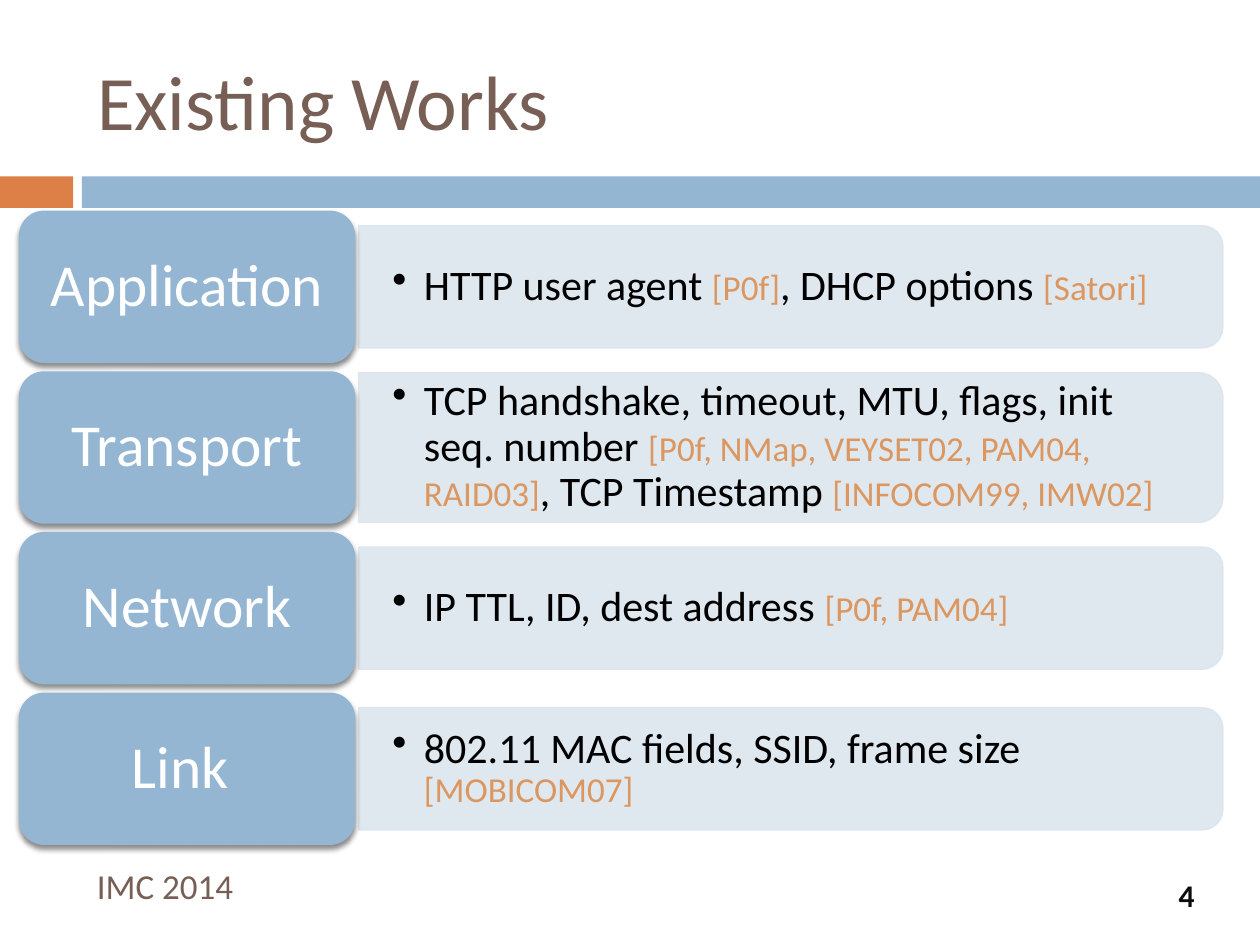
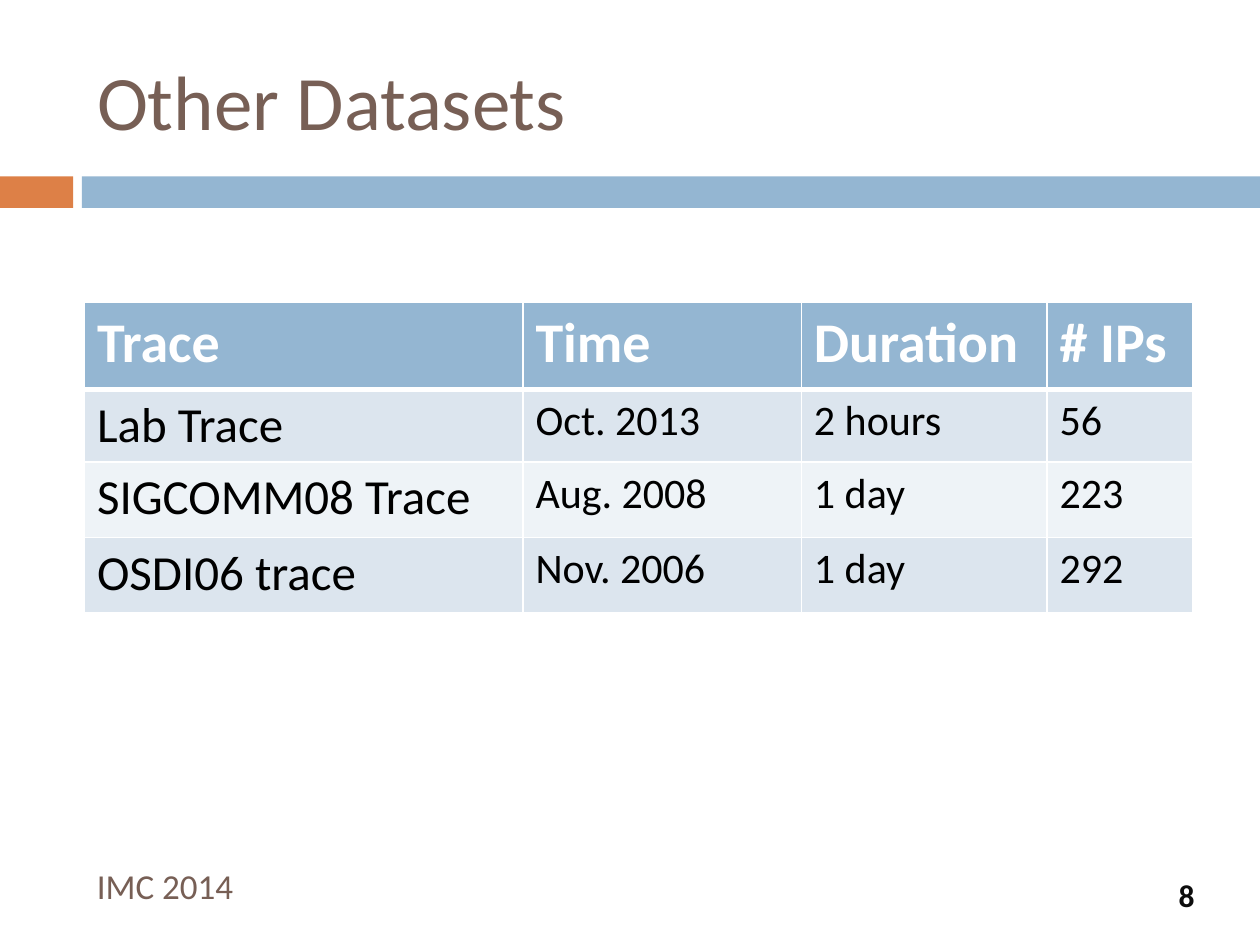
from lxml import etree
from pptx import Presentation
from pptx.dml.color import RGBColor
from pptx.enum.shapes import MSO_SHAPE
from pptx.enum.text import MSO_ANCHOR, MSO_AUTO_SIZE, PP_ALIGN
from pptx.oxml.ns import qn
from pptx.util import Inches, Pt

RECTANGLE = MSO_SHAPE.RECTANGLE
TAB_SHAPE = MSO_SHAPE.ROUNDED_RECTANGLE
PANEL_SHAPE = MSO_SHAPE.ROUND_2_SAME_RECTANGLE
MIDDLE = MSO_ANCHOR.MIDDLE
LEFT, CENTER, RIGHT = PP_ALIGN.LEFT, PP_ALIGN.CENTER, PP_ALIGN.RIGHT
NO_AUTOFIT = MSO_AUTO_SIZE.NONE

FONT = "Calibri"
BROWN = RGBColor(0x77, 0x5F, 0x55)
ORANGE = RGBColor(0xDD, 0x80, 0x47)
CITATION = RGBColor(0xDB, 0x97, 0x5F)
BLUE = RGBColor(0x94, 0xB6, 0xD2)
LIGHT_BLUE = RGBColor(0xDC, 0xE5, 0xEE)
PALE_BLUE = RGBColor(0xEE, 0xF3, 0xF7)
WHITE = RGBColor(0xFF, 0xFF, 0xFF)
BLACK = RGBColor(0, 0, 0)
NUMBER_COLOR = RGBColor(0x0D, 0x0D, 0x0D)

presentation = Presentation()
presentation.slide_width = Inches(10)
presentation.slide_height = Inches(7.5)


def area(left, top, width, height):
    """Turn percentages of the slide's width and height into lengths."""
    across, down = presentation.slide_width / 100, presentation.slide_height / 100
    return int(left * across), int(top * down), int(width * across), int(height * down)


def format_runs(paragraph, size, color, bold=False):
    for run in paragraph.runs:
        run.font.name = FONT
        run.font.size = Pt(size)
        run.font.bold = bold
        run.font.color.rgb = color


# Shared frame: title, bands, footer and slide number
slides = []
for title_text, number in (("Existing Works", "4"), ("Other Datasets", "8")):
    slide = presentation.slides.add_slide(presentation.slide_layouts[5])
    slides.append(slide)

    for left, width, color in ((0, 5.8, ORANGE), (6.5, 93.5, BLUE)):
        band = slide.shapes.add_shape(RECTANGLE, *area(left, 18.67, width, 3.33))
        band.shadow.inherit = False
        band.fill.solid()
        band.fill.fore_color.rgb = color
        band.line.fill.background()

    title = slide.shapes.title
    title.left, title.top, title.width, title.height = area(6.7, 3.33, 89.2, 14.4)
    footer = slide.shapes.add_textbox(*area(6.7, 91.07, 77.5, 5.33))
    number_box = slide.shapes.add_shape(RECTANGLE, *area(90, 93.07, 5.8, 3.33))
    number_box.shadow.inherit = False
    number_box.fill.solid()
    number_box.fill.fore_color.rgb = WHITE
    number_box.line.color.rgb = WHITE

    for shape, text, size, color, alignment in (
        (title, title_text, 44, BROWN, LEFT),
        (footer, "IMC 2014", 20, BROWN, LEFT),
        (number_box, number, 18, NUMBER_COLOR, RIGHT),
    ):
        text_frame = shape.text_frame
        text_frame.text = text
        text_frame.word_wrap = True
        text_frame.auto_size = NO_AUTOFIT
        text_frame.vertical_anchor = MIDDLE
        text_frame.paragraphs[0].alignment = alignment
        format_runs(text_frame.paragraphs[0], size, color, shape is number_box)

works_slide, datasets_slide = slides

# Existing works: one row per layer, every second fragment is a citation
LAYERS = (
    ("Application", 12.93,
     ("HTTP user agent ", "[P0f]", ", DHCP options ", "[Satori]")),
    ("Transport", 15.87,
     ("TCP handshake, timeout, MTU, flags, init seq. number ",
      "[P0f, NMap, VEYSET02, PAM04, RAID03]",
      ", TCP Timestamp ", "[INFOCOM99, IMW02]", " ")),
    ("Network", 12.93, ("IP TTL, ID, dest address ", "[P0f, PAM04]")),
    ("Link ", 12.93, ("802.11 MAC fields, SSID, frame size ", "[MOBICOM07]")),
)
FIRST_MIDDLE, LAYER_PITCH, TAB_HEIGHT = 30.35, 17, 16.13

for index, (layer, panel_height, fragments) in enumerate(LAYERS):
    middle = FIRST_MIDDLE + index * LAYER_PITCH

    # A quarter turn puts the two rounded corners on the right
    left, top, width, height = area(28.45, middle - panel_height / 2, 68.6, panel_height)
    shift = (width - height) // 2
    panel = works_slide.shapes.add_shape(PANEL_SHAPE, left + shift, top - shift, height, width)
    panel.rotation = 90
    panel.shadow.inherit = False
    panel.fill.solid()
    panel.fill.fore_color.rgb = LIGHT_BLUE
    panel.line.color.rgb = LIGHT_BLUE
    panel.line.width = Pt(0.79)
    for color_element in list(panel.element.spPr.iter(qn("a:srgbClr"))):
        etree.SubElement(color_element, qn("a:alpha"), val="90000")

    details = works_slide.shapes.add_textbox(left, top, int(width * 0.99), height)
    text_frame = details.text_frame
    text_frame.word_wrap = True
    text_frame.vertical_anchor = MIDDLE
    text_frame.margin_left = text_frame.margin_right = Inches(0.27)
    text_frame.margin_top = text_frame.margin_bottom = Inches(0.14)
    paragraph = text_frame.paragraphs[0]
    paragraph.line_spacing = 0.9
    properties = paragraph._p.get_or_add_pPr()
    properties.set("marL", str(Inches(0.25)))
    properties.set("indent", str(-Inches(0.25)))
    etree.SubElement(properties, qn("a:buChar"), char="•")
    for fragment in fragments:
        paragraph.add_run().text = fragment
    format_runs(paragraph, 24, BLACK)
    for citation in paragraph.runs[1::2]:
        citation.font.size = Pt(20)
        citation.font.color.rgb = CITATION

    tab = works_slide.shapes.add_shape(
        TAB_SHAPE, *area(1.5, middle - TAB_HEIGHT / 2, 26.7, TAB_HEIGHT))
    tab.fill.solid()
    tab.fill.fore_color.rgb = BLUE
    tab.line.fill.background()
    tab.shadow.inherit = False
    shadow = etree.SubElement(
        tab.element.spPr.find(qn("a:effectLst")), qn("a:outerShdw"),
        blurRad=str(Pt(3)), dist=str(Pt(2.4)), dir="5400000", rotWithShape="0")
    shadow_color = etree.SubElement(shadow, qn("a:srgbClr"), val=str(BLACK))
    etree.SubElement(shadow_color, qn("a:alpha"), val="45000")
    text_frame = tab.text_frame
    text_frame.text = layer
    text_frame.vertical_anchor = MIDDLE
    paragraph = text_frame.paragraphs[0]
    paragraph.alignment = CENTER
    paragraph.line_spacing = 0.9
    format_runs(paragraph, 34, WHITE)

# Other datasets: table of traces
TRACES = (
    ("Trace", "Time", "Duration", "# IPs"),
    ("Lab Trace", "Oct. 2013", "2 hours", "56"),
    ("SIGCOMM08 Trace", "Aug. 2008", "1 day", "223"),
    ("OSDI06 trace", "Nov. 2006", "1 day", "292"),
)
COLUMN_SHARES = (34.8, 22.1, 19.5, 11.6)
ROW_SHARES = (9.2, 7.2, 8, 8)

table = datasets_slide.shapes.add_table(
    len(ROW_SHARES), len(COLUMN_SHARES),
    *area(6.7, 32, sum(COLUMN_SHARES), sum(ROW_SHARES))).table
for column, share in zip(table.columns, COLUMN_SHARES):
    column.width = int(presentation.slide_width * share / 100)
for row, share in zip(table.rows, ROW_SHARES):
    row.height = int(presentation.slide_height * share / 100)

for row_index, values in enumerate(TRACES):
    is_header = row_index == 0
    for column_index, value in enumerate(values):
        cell = table.cell(row_index, column_index)
        cell.text = value
        top_width = 3 if row_index == 1 else 1
        bottom_width = 3 if is_header else 1
        cell_properties = cell._tc.get_or_add_tcPr()
        for side, points in (("L", 1), ("R", 1), ("T", top_width), ("B", bottom_width)):
            border = etree.SubElement(cell_properties, qn(f"a:ln{side}"), w=str(Pt(points)))
            border_fill = etree.SubElement(border, qn("a:solidFill"))
            etree.SubElement(border_fill, qn("a:srgbClr"), val=str(WHITE))
        cell.fill.solid()
        if is_header:
            cell.fill.fore_color.rgb = BLUE
            format_runs(cell.text_frame.paragraphs[0], 32, WHITE, True)
        else:
            cell.fill.fore_color.rgb = LIGHT_BLUE if row_index % 2 else PALE_BLUE
            size = 28 if column_index == 0 else 24
            format_runs(cell.text_frame.paragraphs[0], size, BLACK)

presentation.save("out.pptx")
